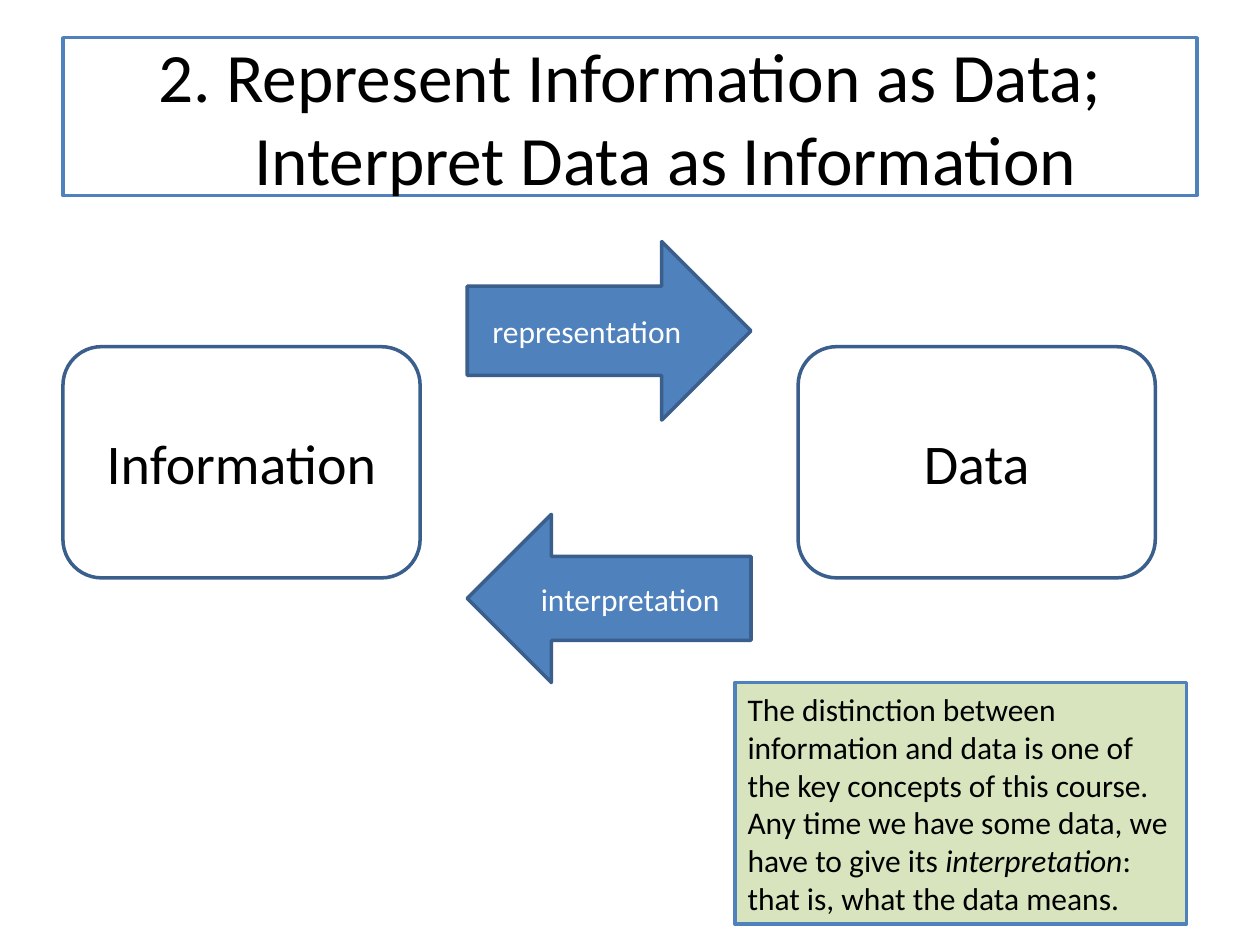
from dataclasses import dataclass
from typing import Optional

from pptx import Presentation
from pptx.dml.color import RGBColor
from pptx.enum.shapes import MSO_SHAPE
from pptx.enum.text import MSO_ANCHOR, PP_ALIGN
from pptx.util import Cm, Pt


@dataclass(frozen=True)
class Theme:
    font: str = "Calibri"
    black: str = "000000"
    white: str = "FFFFFF"
    blue: str = "4F81BD"
    dark_blue: str = "3A5F8C"
    green: str = "D7E4BD"
    line_width: float = 2
    title_size: float = 39.6
    box_size: float = 32
    body_size: float = 18


@dataclass(frozen=True)
class Run:
    text: str
    italic: bool = False


@dataclass(frozen=True)
class Block:
    geometry: MSO_SHAPE
    left: float
    top: float
    width: float
    height: float
    runs: tuple[Run, ...]
    size: float
    color: str
    line: str
    fill: Optional[str] = None
    align: PP_ALIGN = PP_ALIGN.CENTER
    hanging: float = 0


THEME = Theme()


def draw_block(shapes, block: Block) -> None:
    position = (block.left, block.top, block.width, block.height)
    shape = shapes.add_shape(block.geometry, *(Cm(value) for value in position))
    shape.shadow.inherit = False
    if block.fill:
        shape.fill.solid()
        shape.fill.fore_color.rgb = RGBColor.from_string(block.fill)
    else:
        shape.fill.background()
    shape.line.color.rgb = RGBColor.from_string(block.line)
    shape.line.width = Pt(THEME.line_width)

    text_frame = shape.text_frame
    text_frame.word_wrap = True
    text_frame.vertical_anchor = MSO_ANCHOR.MIDDLE
    paragraph = text_frame.paragraphs[0]
    paragraph.alignment = block.align
    if block.hanging:
        properties = paragraph._p.get_or_add_pPr()
        properties.set("marL", str(Cm(block.hanging)))
        properties.set("indent", str(-Cm(block.hanging)))
    for part in block.runs:
        run = paragraph.add_run()
        run.text = part.text
        formats = {"name": THEME.font, "size": Pt(block.size), "italic": part.italic}
        for attribute, value in formats.items():
            setattr(run.font, attribute, value)
        run.font.color.rgb = RGBColor.from_string(block.color)


def concept_box(label: str, left: float) -> Block:
    return Block(MSO_SHAPE.ROUNDED_RECTANGLE, left, 6.99, 7.2, 4.66, (Run(label),),
                 THEME.box_size, THEME.black, THEME.dark_blue)


def process_arrow(label: str, geometry: MSO_SHAPE, top: float, height: float) -> Block:
    return Block(geometry, 9.42, top, 5.72, height, (Run(label),),
                 THEME.body_size, THEME.white, THEME.dark_blue, THEME.blue)


TITLE = Block(
    MSO_SHAPE.RECTANGLE, 1.27, 0.76, 22.86, 3.18,
    (Run("2. Represent Information as Data; Interpret Data as Information"),),
    THEME.title_size, THEME.black, THEME.blue, THEME.white, hanging=1.43,
)
CONCEPTS = (concept_box("Information", 1.27), concept_box("Data", 16.09))
ARROWS = (
    process_arrow("representation", MSO_SHAPE.RIGHT_ARROW, 4.87, 3.6),
    process_arrow("interpretation", MSO_SHAPE.LEFT_ARROW, 10.37, 3.39),
)
NOTE = Block(
    MSO_SHAPE.RECTANGLE, 14.82, 13.76, 9.1, 4.87,
    (
        Run("The distinction between information and data is one of the key concepts "
            "of this course. Any time we have some data, we have to give its "),
        Run("interpretation", italic=True),
        Run(": that is, what the data means."),
    ),
    THEME.body_size, THEME.black, THEME.blue, THEME.green, PP_ALIGN.LEFT,
)


def main() -> None:
    presentation = Presentation()
    presentation.slide_width = Cm(25.4)
    presentation.slide_height = Cm(19.05)
    slide = presentation.slides.add_slide(presentation.slide_layouts[6])
    for block in (TITLE, *CONCEPTS):
        draw_block(slide.shapes, block)
    arrow_group = slide.shapes.add_group_shape()
    for arrow in ARROWS:
        draw_block(arrow_group.shapes, arrow)
    draw_block(slide.shapes, NOTE)
    presentation.save("out.pptx")


if __name__ == "__main__":
    main()
